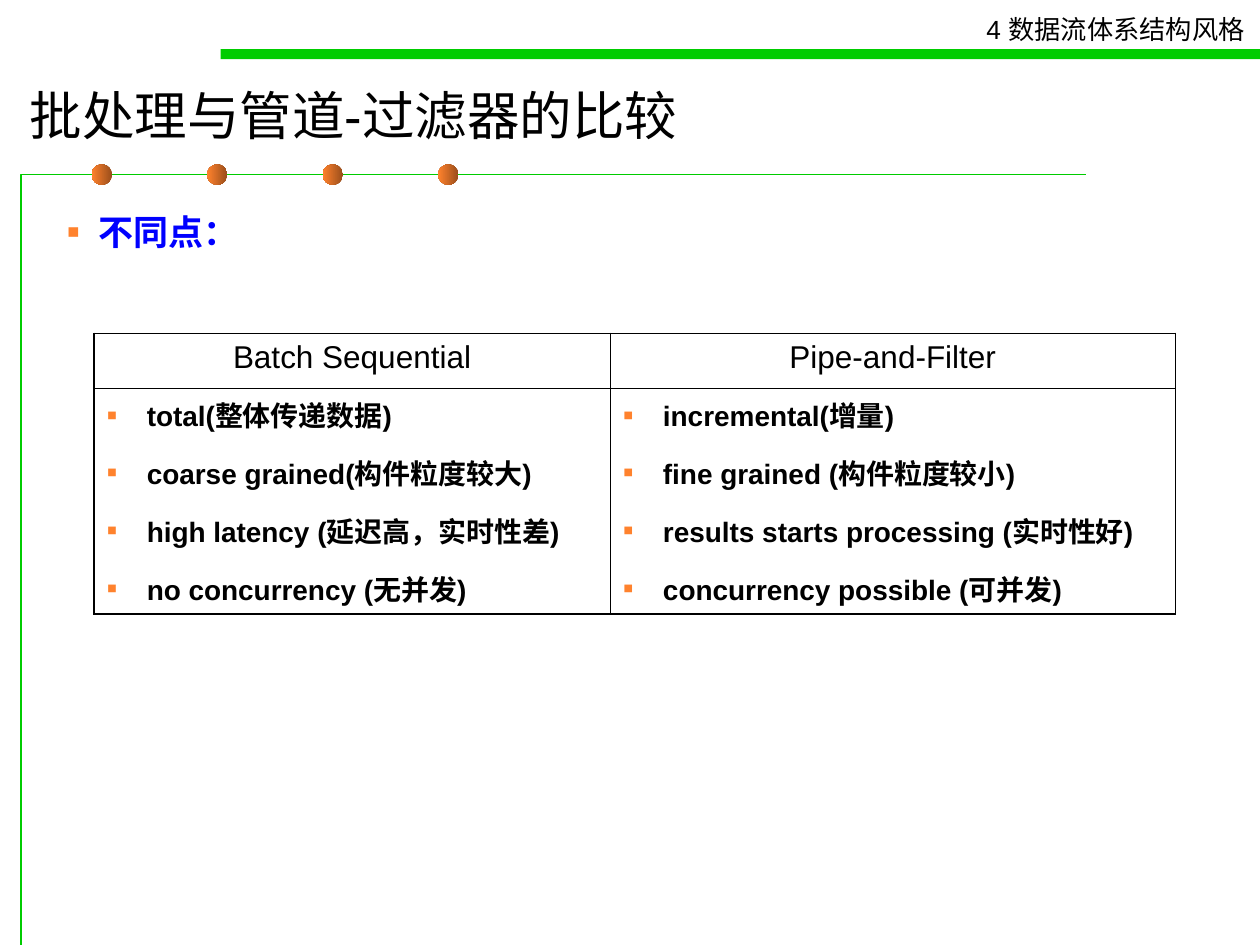
from lxml.etree import SubElement
from pptx import Presentation
from pptx.dml.color import RGBColor
from pptx.enum.shapes import MSO_SHAPE
from pptx.enum.text import MSO_ANCHOR, PP_ALIGN
from pptx.oxml.ns import qn
from pptx.util import Pt

COLORS = {"green": "00CC00", "orange": "FF822D", "brown": "9A4E1B",
          "blue": "0000FF", "black": "000000", "white": "FFFFFF"}
COMPARISON = {
    "Batch Sequential": ["total(整体传递数据)", "coarse grained(构件粒度较大)",
                         "high latency (延迟高，实时性差)", "no concurrency (无并发)"],
    "Pipe-and-Filter": ["incremental(增量)", "fine grained (构件粒度较小)",
                        "results starts processing (实时性好)",
                        "concurrency possible (可并发)"],
}


def rgb(name):
    """Return the named colour."""
    return RGBColor.from_string(COLORS[name])


def add_bullet(paragraph, indent):
    """Give a paragraph an orange square bullet with a hanging indent."""
    properties = paragraph._p.get_or_add_pPr()
    properties.set("marL", str(Pt(indent)))
    properties.set("indent", str(-Pt(indent)))
    tint = SubElement(properties, qn("a:buClr"))
    SubElement(tint, qn("a:srgbClr"), val=COLORS["orange"])
    SubElement(properties, qn("a:buSzPct"), val="110000")
    SubElement(properties, qn("a:buFont"), typeface="Arial")
    SubElement(properties, qn("a:buChar"), char="▪")


def write_lines(frame, lines, size, color="black", bold=False, indent=0,
                before=0, after=0, align=PP_ALIGN.LEFT):
    """Write lines into a text frame, one paragraph each."""
    frame.text = "\n".join(lines)
    for index, paragraph in enumerate(frame.paragraphs):
        paragraph.alignment = align
        paragraph.space_before = Pt(before if index else 0)
        paragraph.space_after = Pt(after)
        if indent:
            add_bullet(paragraph, indent)
        for run in paragraph.runs:
            run.font.name = "Arial"
            run.font.size = Pt(size)
            run.font.bold = bold
            run.font.color.rgb = rgb(color)


def add_text(slide, box, lines, size, wrap=True, anchor=MSO_ANCHOR.TOP, **style):
    """Add a text box in the given box."""
    frame = slide.shapes.add_textbox(*map(Pt, box)).text_frame
    frame.word_wrap = wrap
    frame.vertical_anchor = anchor
    write_lines(frame, lines, size, **style)


def add_header(slide, left, top, width):
    """Add the chapter name above its green bar."""
    bar = slide.shapes.add_shape(MSO_SHAPE.RECTANGLE, Pt(left), Pt(top + 23.7),
                                 Pt(width), Pt(5.8))
    bar.shadow.inherit = False
    bar.fill.solid()
    bar.fill.fore_color.rgb = rgb("green")
    bar.line.fill.background()
    add_text(slide, (left + width - 163.4, top, 165.6, 25.2),
             ["4 数据流体系结构风格"], 15, wrap=False)


def add_frame(slide, left, top, width, height):
    """Add the green corner rule with its four evenly spaced beads."""
    outline = slide.shapes.build_freeform(Pt(left), Pt(top + height))
    outline.add_line_segments([(Pt(left), Pt(top)), (Pt(left + width), Pt(top))],
                              close=False)
    rule = outline.convert_to_shape()
    rule.shadow.inherit = False
    rule.fill.background()
    rule.line.color.rgb = rgb("green")
    rule.line.width = Pt(0.75)
    diameter, first, step = 11.6, 40.4, 66
    for index in range(4):
        bead = slide.shapes.add_shape(
            MSO_SHAPE.OVAL, Pt(left + first + index * step),
            Pt(top - diameter / 2), Pt(diameter), Pt(diameter))
        bead.shadow.inherit = False
        bead.fill.gradient()
        bead.fill.gradient_angle = 180
        for stop, color in zip(bead.fill.gradient_stops, ("brown", "orange")):
            stop.color.rgb = rgb(color)
        bead.line.fill.background()


def add_border(cell, side, width):
    """Draw one side of a cell in black."""
    edge = SubElement(cell._tc.get_or_add_tcPr(), qn(f"a:ln{side}"), w=str(Pt(width)))
    fill = SubElement(edge, qn("a:solidFill"))
    SubElement(fill, qn("a:srgbClr"), val=COLORS["black"])


def add_comparison(slide, left, top, column_widths, row_heights):
    """Add the comparison table with a heavier outer border."""
    table = slide.shapes.add_table(
        2, 2, Pt(left), Pt(top), Pt(sum(column_widths)), Pt(sum(row_heights))).table
    table.first_row = table.horz_banding = False
    for row, height in zip(table.rows, row_heights):
        row.height = Pt(height)
    for column, (style, traits) in enumerate(COMPARISON.items()):
        table.columns[column].width = Pt(column_widths[column])
        heading, details = table.cell(0, column), table.cell(1, column)
        write_lines(heading.text_frame, [style], 18, after=3.4, align=PP_ALIGN.CENTER)
        write_lines(details.text_frame, traits, 16, bold=True, indent=23,
                    before=7, after=3)
        for row, cell in enumerate((heading, details)):
            outer = {"L": column == 0, "R": column == 1, "T": row == 0, "B": row == 1}
            for side, is_outer in outer.items():
                add_border(cell, side, 1.08 if is_outer else 0.45)
            cell.fill.background()


def main():
    """Build the slide and save it."""
    deck = Presentation()
    deck.slide_width, deck.slide_height = Pt(720), Pt(540)
    slide = deck.slides.add_slide(deck.slide_layouts[6])
    slide.background.fill.solid()
    slide.background.fill.fore_color.rgb = rgb("white")
    add_frame(slide, 12, 99.8, 608.6, 440.2)
    add_header(slide, 126, 4.3, 594)
    add_text(slide, (10, 40.2, 669, 51), ["批处理与管道-过滤器的比较"], 30,
             anchor=MSO_ANCHOR.MIDDLE)
    add_text(slide, (31, 116.6, 618.5, 67.7), ["不同点："], 20, color="blue",
             bold=True, indent=18, after=3.7)
    add_comparison(slide, 53.7, 190.6, (295, 323), (31.2, 129.2))
    deck.save("out.pptx")


if __name__ == "__main__":
    main()
